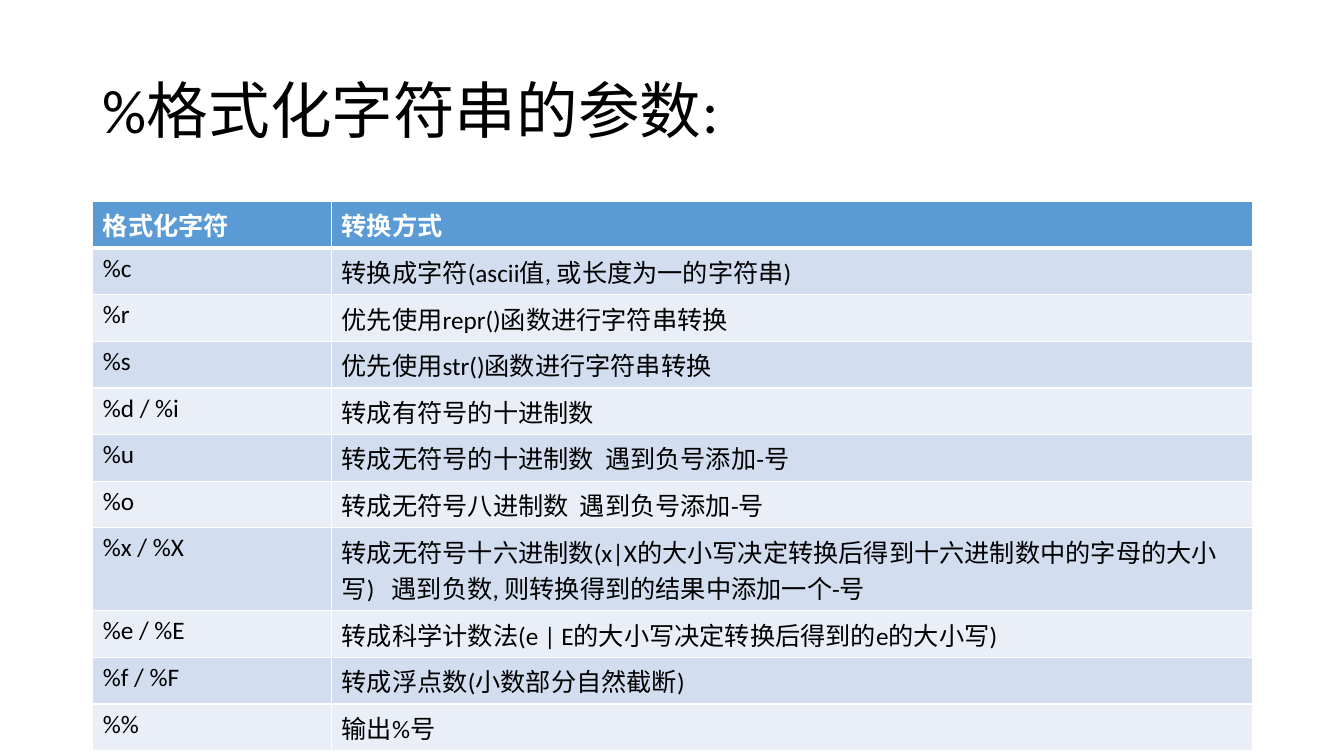
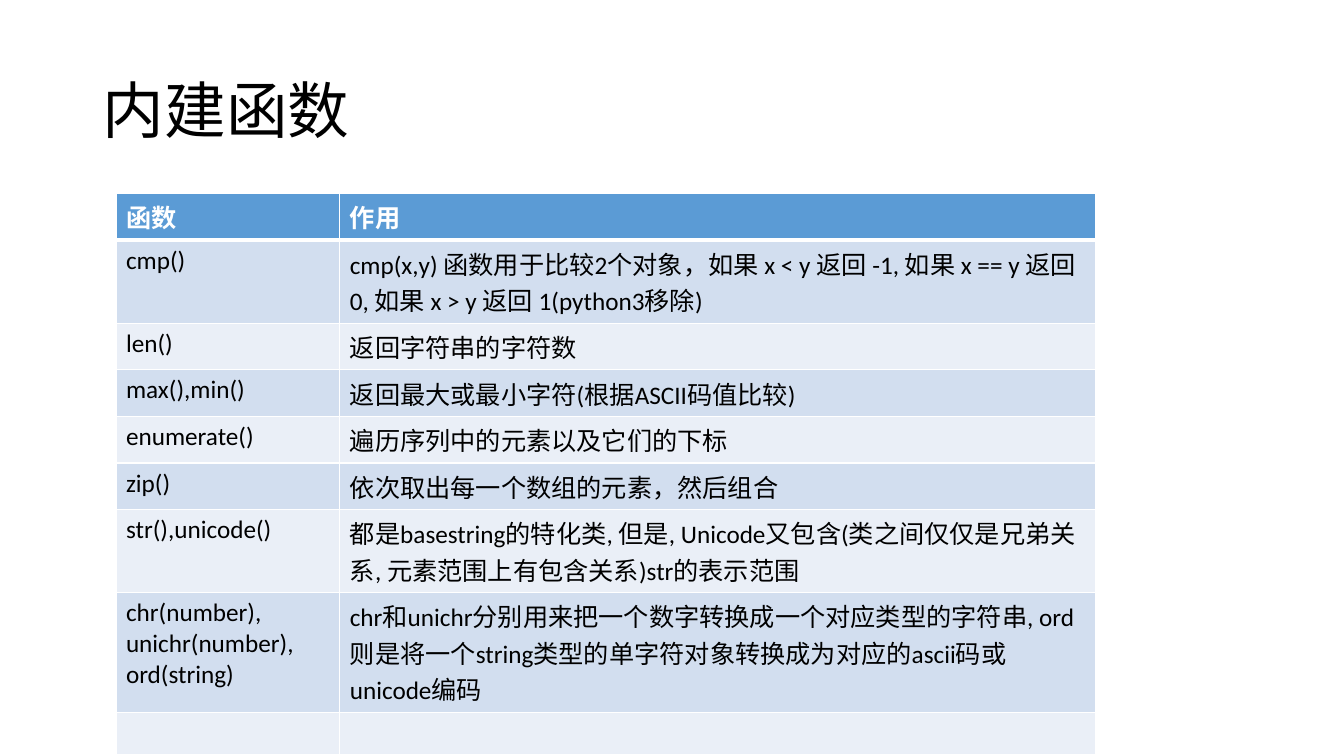
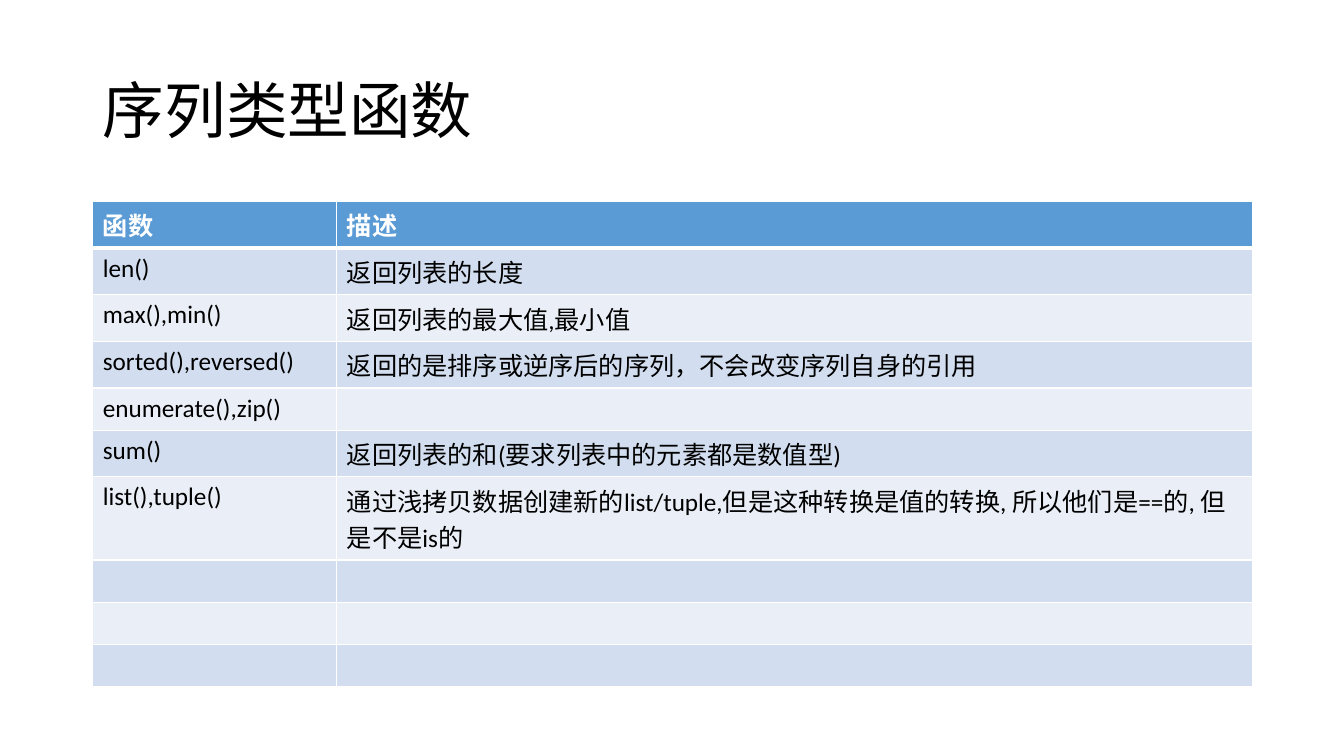
from lxml.etree import SubElement
from pptx import Presentation
from pptx.dml.color import RGBColor
from pptx.enum.text import MSO_ANCHOR, MSO_AUTO_SIZE, PP_ALIGN
from pptx.oxml.ns import qn
from pptx.util import Inches, Pt

COLORS = {
    "text": "000000",
    "header": "5B9BD5",
    "header_text": "FFFFFF",
    "odd_row": "D2DEEF",
    "even_row": "EAEFF7",
    "border": "FFFFFF",
}
FONT = "Calibri"
TITLE_BOX = (0.92, 0.4, 11.5, 1.45)
ROW_HEIGHT = 0.42

FORMAT_ROWS = [
    ("格式化字符", "转换方式"),
    ("%c", "转换成字符(ascii值, 或长度为一的字符串)"),
    ("%r", "优先使用repr()函数进行字符串转换"),
    ("%s", "优先使用str()函数进行字符串转换"),
    ("%d / %i", "转成有符号的十进制数"),
    ("%u", "转成无符号的十进制数  遇到负号添加-号"),
    ("%o", "转成无符号八进制数  遇到负号添加-号"),
    ("%x / %X", "转成无符号十六进制数(x|X的大小写决定转换后得到十六进制数中的字母的大小写)"
     "   遇到负数, 则转换得到的结果中添加一个-号"),
    ("%e / %E", "转成科学计数法(e | E的大小写决定转换后得到的e的大小写)"),
    ("%f / %F", "转成浮点数(小数部分自然截断)"),
    ("%%", "输出%号"),
]
BUILTIN_ROWS = [
    ("函数", "作用"),
    ("cmp()", "cmp(x,y) 函数用于比较2个对象，如果 x < y 返回 -1, "
     "如果 x == y 返回 0, 如果 x > y 返回 1(python3移除)"),
    ("len()", "返回字符串的字符数"),
    ("max(),min()", "返回最大或最小字符(根据ASCII码值比较)"),
    ("enumerate()", "遍历序列中的元素以及它们的下标"),
    ("zip()", "依次取出每一个数组的元素，然后组合"),
    ("str(),unicode()", "都是basestring的特化类, 但是, Unicode又包含"
     "(类之间仅仅是兄弟关系, 元素范围上有包含关系)str的表示范围"),
    ("chr(number), unichr(number), ord(string)",
     "chr和unichr分别用来把一个数字转换成一个对应类型的字符串, "
     "ord则是将一个string类型的单字符对象转换成为对应的ascii码或unicode编码"),
    ("", ""),
]
SEQUENCE_ROWS = [
    ("函数", "描述"),
    ("len()", "返回列表的长度"),
    ("max(),min()", "返回列表的最大值,最小值"),
    ("sorted(),reversed()", "返回的是排序或逆序后的序列，不会改变序列自身的引用"),
    ("enumerate(),zip()", ""),
    ("sum()", "返回列表的和(要求列表中的元素都是数值型)"),
    ("list(),tuple()", "通过浅拷贝数据创建新的list/tuple,但是这种转换是值的转换, "
     "所以他们是==的, 但是不是is的"),
] + [("", "")] * 3


def rgb(name):
    return RGBColor.from_string(COLORS[name])


def write(frame, text, size=18, color="text", bold=False, spacing=None):
    paragraph = frame.paragraphs[0]
    paragraph.alignment = PP_ALIGN.LEFT
    paragraph.line_spacing = spacing
    paragraph.font.size = Pt(size)
    if text:
        run = paragraph.add_run()
        run.text = text
        run.font.name = FONT
        run.font.size = Pt(size)
        run.font.bold = bold
        run.font.color.rgb = rgb(color)


def add_borders(cell, top, bottom):
    properties = cell._tc.get_or_add_tcPr()
    widths = {"a:lnL": 1, "a:lnR": 1, "a:lnT": top, "a:lnB": bottom}
    for position, (side, width) in enumerate(widths.items()):
        line = SubElement(properties, qn(side), w=str(Pt(width)))
        fill = SubElement(line, qn("a:solidFill"))
        SubElement(fill, qn("a:srgbClr"), val=COLORS["border"])
        properties.insert(position, line)


def add_title(slide, text, box):
    title = slide.shapes.title
    title.left, title.top, title.width, title.height = map(Inches, box)
    frame = title.text_frame
    frame.auto_size = MSO_AUTO_SIZE.NONE
    frame.word_wrap = True
    frame.vertical_anchor = MSO_ANCHOR.MIDDLE
    write(frame, text, size=44, spacing=0.9)


def add_reference_table(slide, rows, left, top, widths, tall_rows):
    heights = [tall_rows.get(index, ROW_HEIGHT) for index in range(len(rows))]
    box = map(Inches, (left, top, sum(widths), sum(heights)))
    table = slide.shapes.add_table(len(rows), len(widths), *box).table
    for column, width in zip(table.columns, widths):
        column.width = Inches(width)
    for index, (texts, height) in enumerate(zip(rows, heights)):
        table.rows[index].height = Inches(height)
        header = index == 0
        band = "header" if header else "odd_row" if index % 2 else "even_row"
        for cell, text in zip(table.rows[index].cells, texts):
            cell.fill.solid()
            cell.fill.fore_color.rgb = rgb(band)
            add_borders(cell, 3 if index == 1 else 1, 3 if header else 1)
            write(cell.text_frame, text, bold=header,
                  color="header_text" if header else "text")


def add_reference_slide(deck, title, rows, widths, left=0.92, top=2, tall_rows={}):
    slide = deck.slides.add_slide(deck.slide_layouts[5])
    add_title(slide, title, TITLE_BOX)
    add_reference_table(slide, rows, left, top, widths, tall_rows)


deck = Presentation()
deck.slide_width = Inches(13.33)
deck.slide_height = Inches(7.5)
add_reference_slide(deck, "%格式化字符串的参数:", FORMAT_ROWS, (2.37, 9.13))
add_reference_slide(deck, "内建函数", BUILTIN_ROWS, (2.22, 7.5),
                    left=1.15, top=1.92, tall_rows={1: 0.7})
add_reference_slide(deck, "序列类型函数", SEQUENCE_ROWS, (2.42, 9.08))
deck.save("out.pptx")
